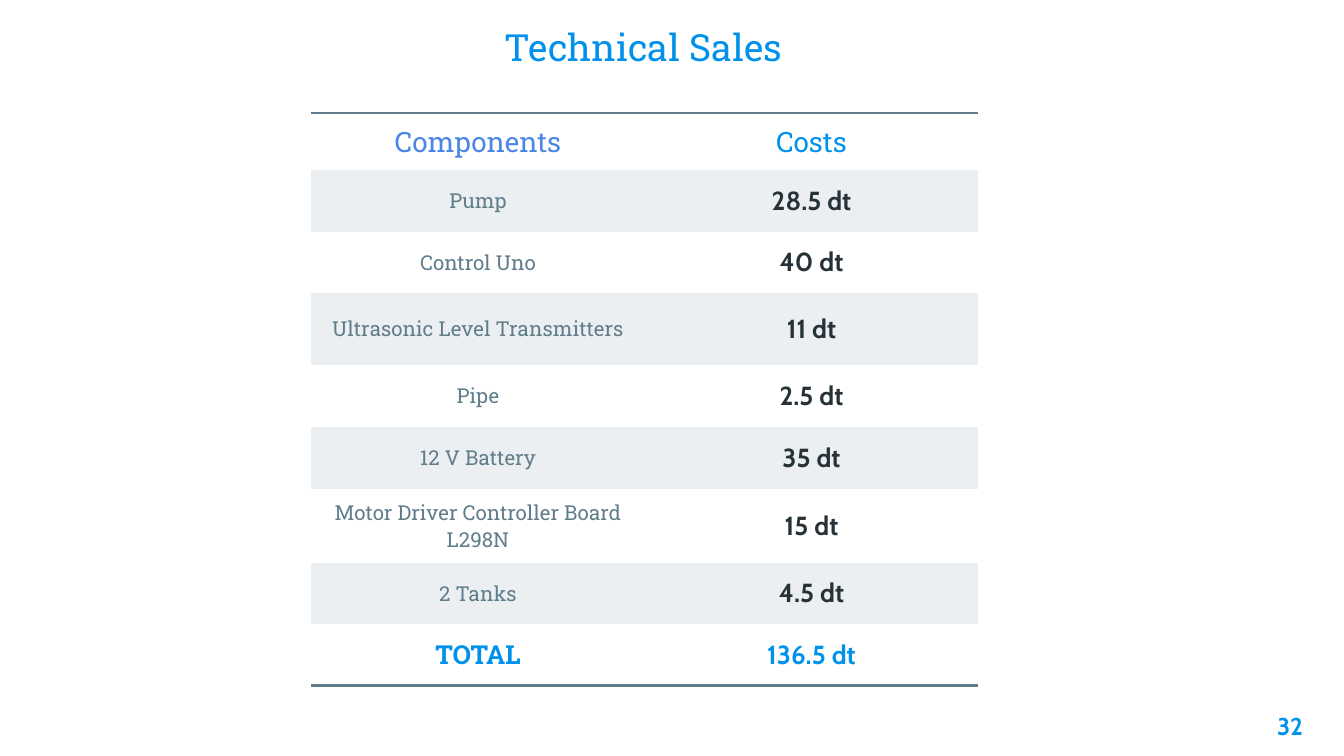
from dataclasses import dataclass

from lxml import etree
from pptx import Presentation
from pptx.dml.color import RGBColor
from pptx.enum.text import MSO_ANCHOR, PP_ALIGN
from pptx.oxml.ns import qn
from pptx.util import Pt

PX = 914400 / 134.4
CENTER, RIGHT = PP_ALIGN.CENTER, PP_ALIGN.RIGHT
MIDDLE = MSO_ANCHOR.MIDDLE
PLAIN_TABLE = "{2D5ABB26-0587-4C30-8999-92F81FD0307C}"


@dataclass(frozen=True)
class Format:
    name: str
    size: float
    color: str
    bold: bool = False


@dataclass(frozen=True)
class Theme:
    slab: str = "Roboto Slab"
    sans: str = "Cabin"
    accent: str = "0091EA"
    header: str = "4A86E8"
    slate: str = "607D8B"
    ink: str = "263238"
    band: str = "ECEFF1"
    white: str = "FFFFFF"
    title_pt: float = 20
    header_pt: float = 15
    item_pt: float = 11
    cost_pt: float = 14
    number_pt: float = 13
    rule_pt: float = 1.5


T = Theme()
ITEM = Format(T.slab, T.item_pt, T.slate)
COST = Format(T.sans, T.cost_pt, T.ink, True)


@dataclass(frozen=True)
class Row:
    item: str
    cost: str
    height: int = 62
    item_format: Format = ITEM
    cost_format: Format = COST
    fill: str = T.white
    rule: str = ""


@dataclass(frozen=True)
class Label:
    text: str
    box: tuple[int, int, int, int]
    format: Format
    align: PP_ALIGN


ROWS = [
    Row("Components", "Costs", 57, Format(T.slab, T.header_pt, T.header),
        Format(T.slab, T.header_pt, T.accent), rule="a:lnT"),
    Row("Pump", "28.5 dt", fill=T.band),
    Row("Control Uno", "40 dt", 61),
    Row("Ultrasonic Level Transmitters", "11 dt", 72, fill=T.band),
    Row("Pipe", "2.5 dt"),
    Row("12 V Battery", "35 dt", fill=T.band),
    Row("Motor Driver Controller Board L298N", "15 dt", 74),
    Row("2 Tanks", "4.5 dt", 61, fill=T.band),
    Row("TOTAL", "136.5 dt", item_format=Format(T.slab, T.cost_pt, T.accent, True),
        cost_format=Format(T.sans, T.cost_pt, T.accent, True), rule="a:lnB"),
]
TABLE_LEFT, TABLE_TOP = 311, 113
COLUMN_WIDTHS = (334, 333)

LABELS = [
    Label("32", (1235, 698, 81, 58), Format(T.sans, T.number_pt, T.accent, True), RIGHT),
    Label("Technical Sales", (423, 11, 441, 73), Format(T.slab, T.title_pt, T.accent), CENTER),
]


def px(value: int) -> int:
    return round(value * PX)


def write(tf, text: str, fmt: Format, align: PP_ALIGN) -> None:
    p = tf.paragraphs[0]
    p.alignment = align
    r = p.add_run()
    r.text = text
    values = {"name": fmt.name, "size": Pt(fmt.size), "bold": fmt.bold}
    for key, value in values.items():
        setattr(r.font, key, value)
    r.font.color.rgb = RGBColor.from_string(fmt.color)


def set_margins(target, across: int, down: int) -> None:
    values = {"margin_left": across, "margin_right": across,
              "margin_top": down, "margin_bottom": down}
    for key, value in values.items():
        setattr(target, key, px(value))


def add_rule(cell, tag: str) -> None:
    """Border one side of a cell; borders come before the fill in tcPr."""
    ln = etree.Element(qn(tag), w=str(Pt(T.rule_pt)))
    fill = etree.SubElement(ln, qn("a:solidFill"))
    etree.SubElement(fill, qn("a:srgbClr"), val=T.slate)
    cell._tc.get_or_add_tcPr().insert(0, ln)


def fill_cell(cell, text: str, fmt: Format, row: Row) -> None:
    set_margins(cell, 13, 9)
    cell.vertical_anchor = MIDDLE
    cell.fill.solid()
    cell.fill.fore_color.rgb = RGBColor.from_string(row.fill)
    write(cell.text_frame, text, fmt, CENTER)
    if row.rule:
        add_rule(cell, row.rule)


def add_cost_table(s) -> None:
    height = sum(row.height for row in ROWS)
    frame = s.shapes.add_table(len(ROWS), len(COLUMN_WIDTHS), px(TABLE_LEFT), px(TABLE_TOP),
                               px(sum(COLUMN_WIDTHS)), px(height))
    table = frame.table
    table.first_row = table.horz_banding = False
    table._tbl.tblPr.find(qn("a:tableStyleId")).text = PLAIN_TABLE
    for column, width in zip(table.columns, COLUMN_WIDTHS):
        column.width = px(width)
    for i, row in enumerate(ROWS):
        table.rows[i].height = px(row.height)
        fill_cell(table.cell(i, 0), row.item, row.item_format, row)
        fill_cell(table.cell(i, 1), row.cost, row.cost_format, row)


def add_label(s, label: Label) -> None:
    tf = s.shapes.add_textbox(*map(px, label.box)).text_frame
    tf.word_wrap = True
    set_margins(tf, 13, 13)
    write(tf, label.text, label.format, label.align)


def main() -> None:
    prs = Presentation()
    prs.slide_width, prs.slide_height = px(1344), px(756)
    s = prs.slides.add_slide(prs.slide_layouts[6])
    add_cost_table(s)
    for label in LABELS:
        add_label(s, label)
    prs.save("out.pptx")


if __name__ == "__main__":
    main()
